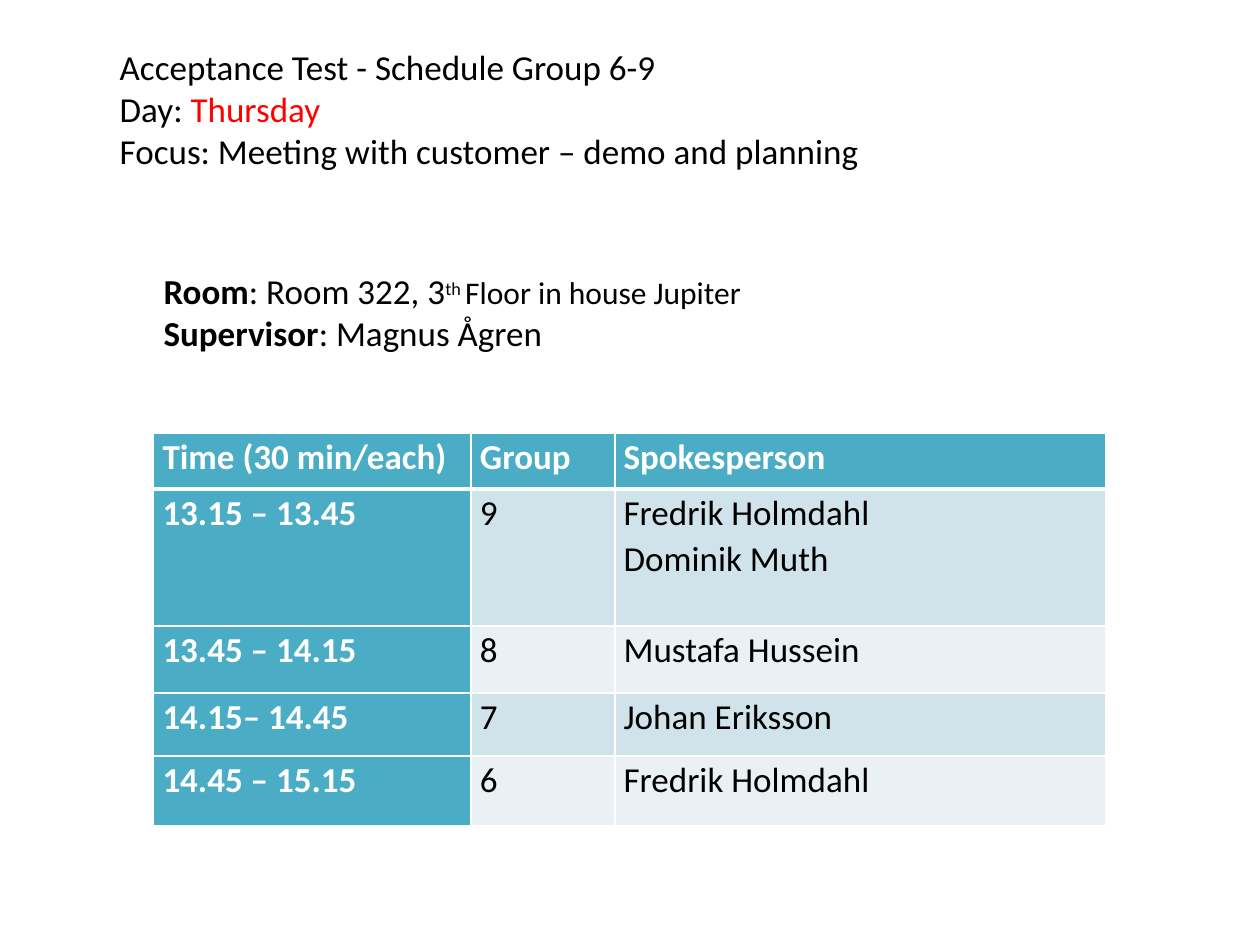
import pptx
import pptx.util
import pptx.dml.color
import pptx.enum.text
from dataclasses import dataclass
from lxml import etree
from pptx.oxml.ns import qn


@dataclass(frozen=True)
class Theme:
    font: str = "Calibri"
    size: float = 20
    small: float = 18
    ink: str = "000000"
    alert: str = "FF0000"
    white: str = "FFFFFF"
    head: str = "4BACC6"
    bands: tuple = ("D0E3EA", "E9F1F5")
    thin: float = 1
    thick: float = 3


T = Theme()
WIDE, HIGH = 10, 7.5

# Each line is a list of (text, format) runs.
TITLE = [
    [("Acceptance Test - Schedule Group 6-9", {})],
    [("Day: ", {}), ("Thursday", {"color": T.alert})],
    [("Focus: Meeting with customer – demo and planning", {})],
]
PLACE = [
    [("Room", {"bold": True}), (": Room 322, 3", {}),
     ("th ", {"size": T.small, "raised": True}),
     ("Floor in house Jupiter", {"size": T.small})],
    [("Supervisor", {"bold": True}), (": Magnus Ågren", {})],
]
HEADS = ["Time (30 min/each)", "Group", "Spokesperson"]
SLOTS = [
    ("13.15 – 13.45", "9", ["Fredrik Holmdahl", "Dominik Muth"]),
    ("13.45 – 14.15", "8", ["Mustafa Hussein"]),
    ("14.15– 14.45", "7", ["Johan Eriksson"]),
    ("14.45 – 15.15", "6", ["Fredrik Holmdahl"]),
]
COLS = [2.52, 1.14, 3.9]
ROWS = [0.44, 1.09, 0.53, 0.5, 0.55]


def inch(*sizes):
    return [pptx.util.Inches(size) for size in sizes]


def rgb(code):
    return pptx.dml.color.RGBColor.from_string(code)


def add_run(para, text, size=T.size, color=T.ink, bold=False, raised=False):
    run = para.add_run()
    run.text = text
    font = run.font
    font.name, font.size, font.bold = T.font, pptx.util.Pt(size), bold
    font.color.rgb = rgb(color)
    if raised:
        run._r.get_or_add_rPr().set("baseline", "30000")


def write(frame, lines, space=None):
    for i, line in enumerate(lines):
        para = frame.add_paragraph() if i else frame.paragraphs[0]
        para.alignment = pptx.enum.text.PP_ALIGN.LEFT
        para.line_spacing = space
        for text, form in line:
            add_run(para, text, **form)


def set_box(shape, lines, at, foot):
    """Place a text shape; foot is the inset that lifts its centred text."""
    shape.left, shape.top, shape.width, shape.height = inch(*at)
    frame = shape.text_frame
    frame.word_wrap = True
    frame.auto_size = pptx.enum.text.MSO_AUTO_SIZE.NONE
    frame.vertical_anchor = pptx.enum.text.MSO_ANCHOR.MIDDLE
    frame.margin_top, frame.margin_bottom = inch(0.05, foot)
    write(frame, lines)


def set_edge(cell, side, width):
    line = etree.SubElement(cell._tc.get_or_add_tcPr(), qn("a:" + side),
                            w=str(pptx.util.Pt(width)))
    fill = etree.SubElement(line, qn("a:solidFill"))
    etree.SubElement(fill, qn("a:srgbClr"), val=T.white)


def set_cell(cell, texts, row, col):
    for side in ("lnL", "lnR", "lnT", "lnB"):
        heavy = (row, side) in ((0, "lnB"), (1, "lnT"))
        set_edge(cell, side, T.thick if heavy else T.thin)
    key = row == 0 or col == 0
    cell.fill.solid()
    cell.fill.fore_color.rgb = rgb(T.head if key else T.bands[(row - 1) % 2])
    cell.margin_left, cell.margin_right = inch(0.07, 0.07)
    cell.margin_top = cell.margin_bottom = 0
    form = {"color": T.white if key else T.ink, "bold": key}
    write(cell.text_frame, [[(text, form)] for text in texts], space=1.07)


def add_plan(slide, left, top):
    size = inch(left, top, sum(COLS), sum(ROWS))
    grid = slide.shapes.add_table(len(ROWS), len(COLS), *size).table
    grid.first_col = True
    for col, width in zip(grid.columns, inch(*COLS)):
        col.width = width
    for row, height in zip(grid.rows, inch(*ROWS)):
        row.height = height
    data = [[[head] for head in HEADS]]
    data += [[[time], [group], names] for time, group, names in SLOTS]
    for r, line in enumerate(data):
        for c, texts in enumerate(line):
            set_cell(grid.cell(r, c), texts, r, c)


def main():
    deck = pptx.Presentation()
    deck.slide_width, deck.slide_height = inch(WIDE, HIGH)
    slide = deck.slides.add_slide(deck.slide_layouts[5])
    set_box(slide.shapes.title, TITLE, (0.85, 0.59, 9.03, 0.83), foot=0.34)
    add_plan(slide, 1.22, 3.44)
    place = slide.shapes.add_textbox(0, 0, 0, 0)
    set_box(place, PLACE, (1.2, 2.07, 8.11, 1.25), foot=0.49)
    deck.save("out.pptx")


if __name__ == "__main__":
    main()
